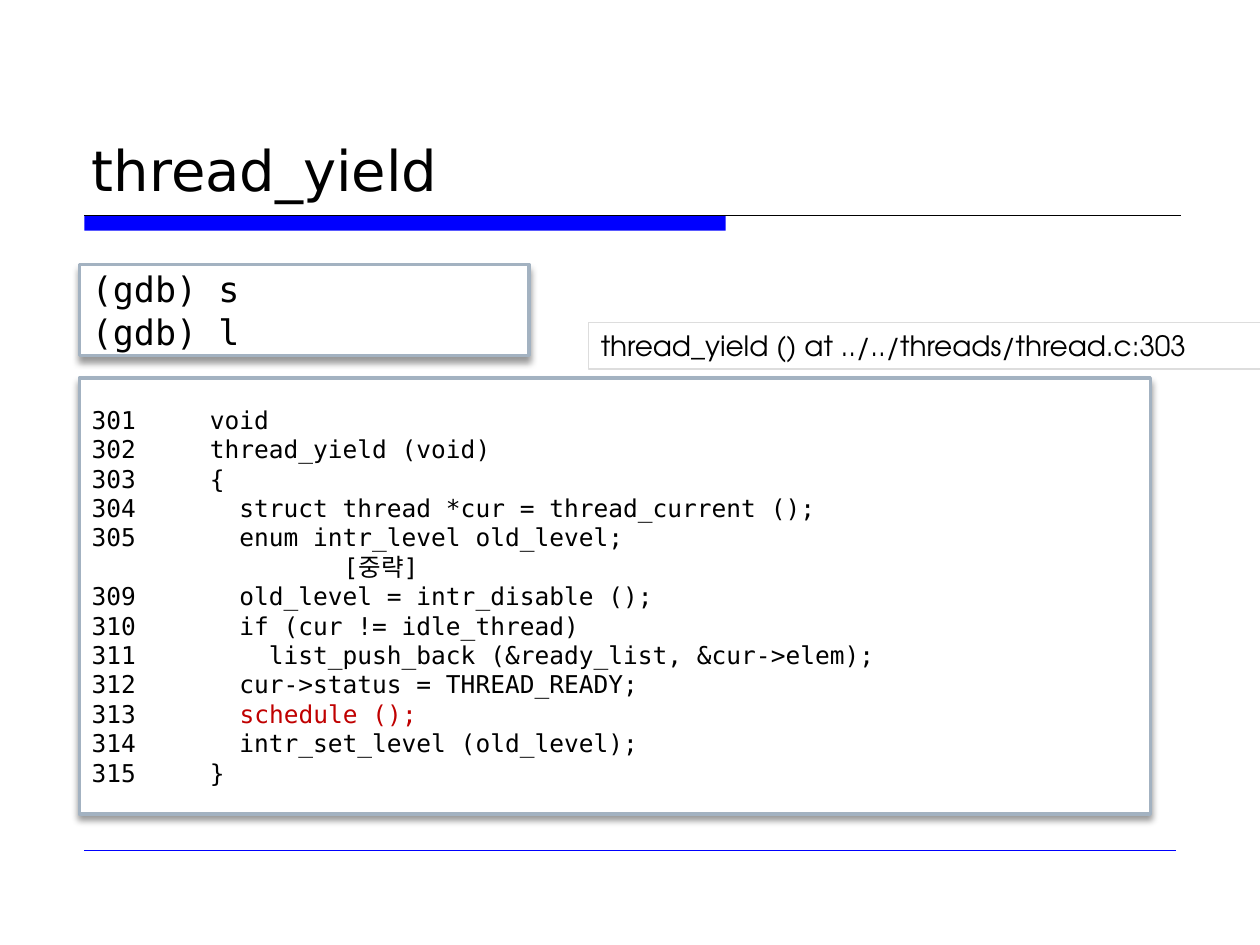
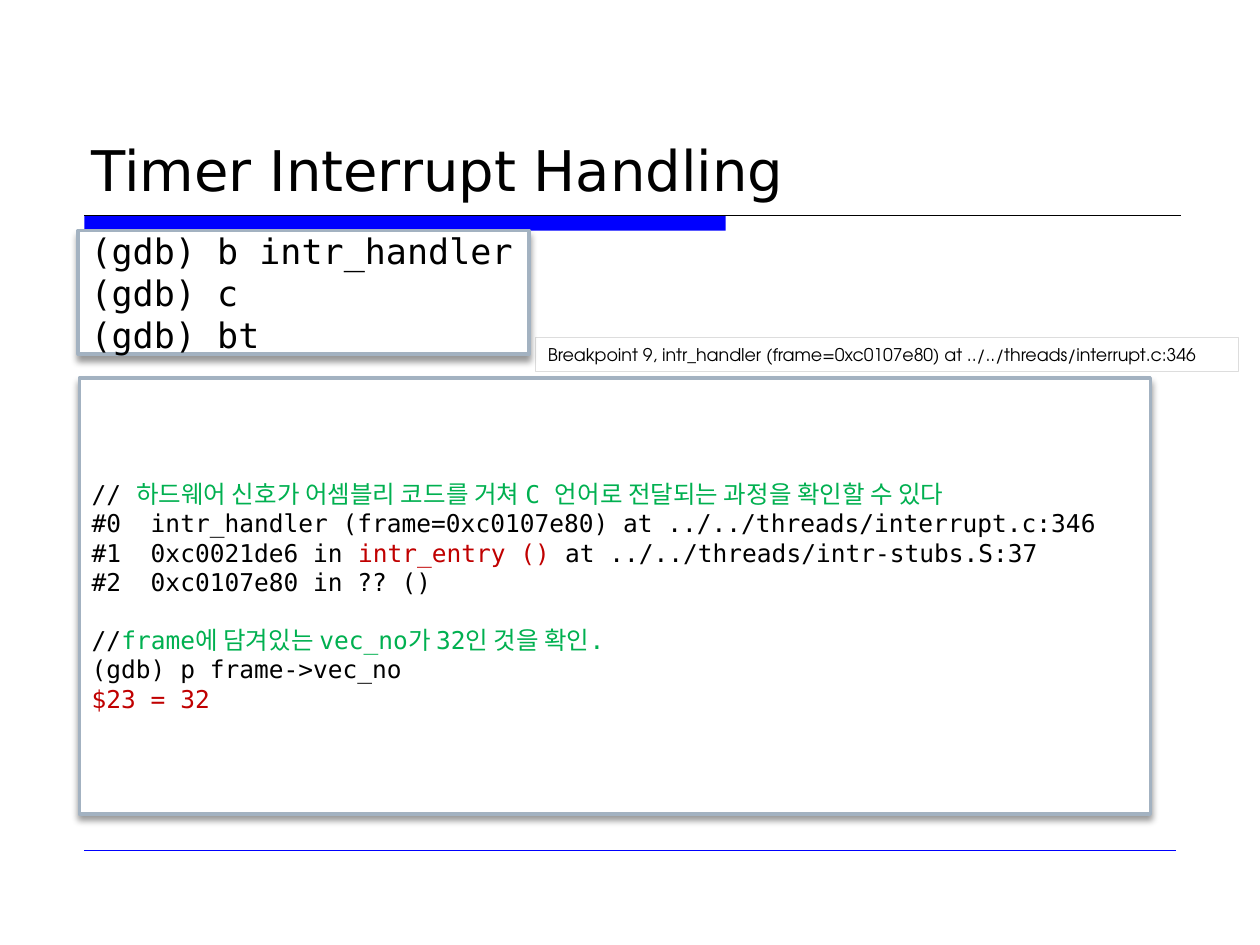
from lxml.etree import SubElement
from pptx import Presentation
from pptx.dml.color import RGBColor
from pptx.enum.shapes import MSO_CONNECTOR, MSO_SHAPE
from pptx.enum.text import MSO_ANCHOR, MSO_AUTO_SIZE, PP_ALIGN
from pptx.oxml.ns import qn
from pptx.util import Inches, Pt

HUES = {"ink": "000000", "blue": "0000FF", "edge": "A3B2C1", "pale": "DDDDDD",
        "white": "FFFFFF", "red": "C00000", "green": "00B050"}

# A line is a string, or a list of (text, hue) runs.
# "indent" (inches) and "before" (points) are keyed by line number.
SLIDES = [
    {
        "title": "thread_yield",
        "prompt": ["(gdb) s", "(gdb) l"],
        "prompt_at": (0.63, 2.1, 3.57, 0.72),
        "place": "thread_yield () at ../../threads/thread.c:303",
        "place_at": (4.67, 2.56, 8.33, 0.37),
        "place_size": 16,
        "code": [
            "301     void",
            "302     thread_yield (void)",
            "303     {",
            "304       struct thread *cur = thread_current ();",
            "305       enum intr_level old_level;",
            "[중략]",
            "309       old_level = intr_disable ();",
            "310       if (cur != idle_thread)",
            "311         list_push_back (&ready_list, &cur->elem);",
            "312       cur->status = THREAD_READY;",
            [("313       ", "ink"), ("schedule ();", "red")],
            "314       intr_set_level (old_level);",
            "315     }",
        ],
        "indent": {5: 2},
        "before": {},
    },
    {
        "title": "Timer Interrupt Handling",
        "prompt": ["(gdb) b intr_handler", "(gdb) c", "(gdb) bt"],
        "prompt_at": (0.62, 1.83, 3.58, 0.98),
        "place": "Breakpoint 9, intr_handler (frame=0xc0107e80)"
                 " at ../../threads/interrupt.c:346",
        "place_at": (4.25, 2.68, 5.58, 0.27),
        "place_size": 10,
        "code": [
            [("// ", "ink"),
             ("하드웨어 신호가 어셈블리 코드를 거쳐 C 언어로 전달되는 과정을 확인할 수 있다", "green")],
            "#0  intr_handler (frame=0xc0107e80) at ../../threads/interrupt.c:346",
            [("#1  0xc0021de6 in ", "ink"), ("intr_entry ()", "red"),
             (" at ../../threads/intr-stubs.S:37", "ink")],
            "#2  0xc0107e80 in ?? ()",
            [("//", "ink"), ("frame에 담겨있는 vec_no가 32인 것을 확인.", "green")],
            "(gdb) p frame->vec_no",
            [("$23 = 32", "red")],
        ],
        "indent": {},
        "before": {4: 16.3},
    },
]

WIDE, HIGH = 10, 7.5
LEFT = 0.67
TITLE_AT = (0.63, 0.33, 8.75, 1.33)
BAR_AT = (LEFT, 1.71, 5.09, 0.12)
CODE_AT = (0.63, 3, 8.5, 3.46)
# left, right, height on the slide, hue, width in points
RULES = [(LEFT, 9.37, 1.71, "ink", 0.75), (LEFT, 9.33, 6.75, "blue", 0.25)]

TITLE = {"name": "DejaVu Sans", "size": Pt(32)}
PROMPT = {"name": "DejaVu Sans Mono", "size": Pt(20)}
CODE = {"name": "DejaVu Sans Mono", "size": Pt(14)}
PLACE = {"name": "TeX Gyre Adventor"}


def hue(name):
    return RGBColor.from_string(HUES[name])


def inches(at):
    return [Inches(n) for n in at]


def write(shape, lines, font, anchor, indent=None, before=None):
    frame = shape.text_frame
    frame.word_wrap = True
    frame.vertical_anchor = anchor
    for i, line in enumerate(lines):
        para = frame.paragraphs[0] if i == 0 else frame.add_paragraph()
        para.alignment = PP_ALIGN.LEFT
        if indent and i in indent:
            para._p.get_or_add_pPr().set("marL", str(Inches(indent[i])))
        if before and i in before:
            para.space_before = Pt(before[i])
        for text, tint in [(line, "ink")] if isinstance(line, str) else line:
            run = para.add_run()
            run.text = text
            for key, value in font.items():
                setattr(run.font, key, value)
            run.font.color.rgb = hue(tint)


def rect(slide, at, fill=None, edge=None, width=1):
    shape = slide.shapes.add_shape(MSO_SHAPE.RECTANGLE, *inches(at))
    shape.shadow.inherit = False
    if fill:
        shape.fill.solid()
        shape.fill.fore_color.rgb = hue(fill)
    else:
        shape.fill.background()
    if edge:
        shape.line.color.rgb = hue(edge)
        shape.line.width = Pt(width)
    else:
        shape.line.fill.background()
    return shape


def panel(slide, at):
    """White framed box with a soft shadow below it."""
    shape = rect(slide, at, "white", "edge", 2)
    effects = shape._element.spPr.find(qn("a:effectLst"))
    shade = SubElement(effects, qn("a:outerShdw"), blurRad=str(Pt(4)),
                       dist=str(Pt(3)), dir="5400000", rotWithShape="0")
    tint = SubElement(shade, qn("a:srgbClr"), val=HUES["ink"])
    SubElement(tint, qn("a:alpha"), val="40000")
    return shape


def rule(slide, left, right, y, tint, width):
    line = slide.shapes.add_connector(
        MSO_CONNECTOR.STRAIGHT, *inches((left, y, right, y)))
    line.line.color.rgb = hue(tint)
    line.line.width = Pt(width)
    SubElement(line._element.spPr, qn("a:effectLst"))


def base(slide, title):
    """Title, bar and rules that every slide has."""
    rect(slide, BAR_AT, "blue")
    for item in RULES:
        rule(slide, *item)
    box = slide.shapes.add_textbox(*inches(TITLE_AT))
    write(box, [title], TITLE, MSO_ANCHOR.BOTTOM)


def build(slide, data):
    base(slide, data["title"])
    write(panel(slide, CODE_AT), data["code"], CODE, MSO_ANCHOR.MIDDLE,
          data["indent"], data["before"])
    place = rect(slide, data["place_at"], edge="pale", width=0.75)
    write(place, [data["place"]], {**PLACE, "size": Pt(data["place_size"])},
          MSO_ANCHOR.TOP)
    place.text_frame.auto_size = MSO_AUTO_SIZE.SHAPE_TO_FIT_TEXT
    write(panel(slide, data["prompt_at"]), data["prompt"], PROMPT,
          MSO_ANCHOR.MIDDLE)


def main():
    deck = Presentation()
    deck.slide_width, deck.slide_height = inches((WIDE, HIGH))
    for data in SLIDES:
        build(deck.slides.add_slide(deck.slide_layouts[6]), data)
    deck.save("out.pptx")


if __name__ == "__main__":
    main()
